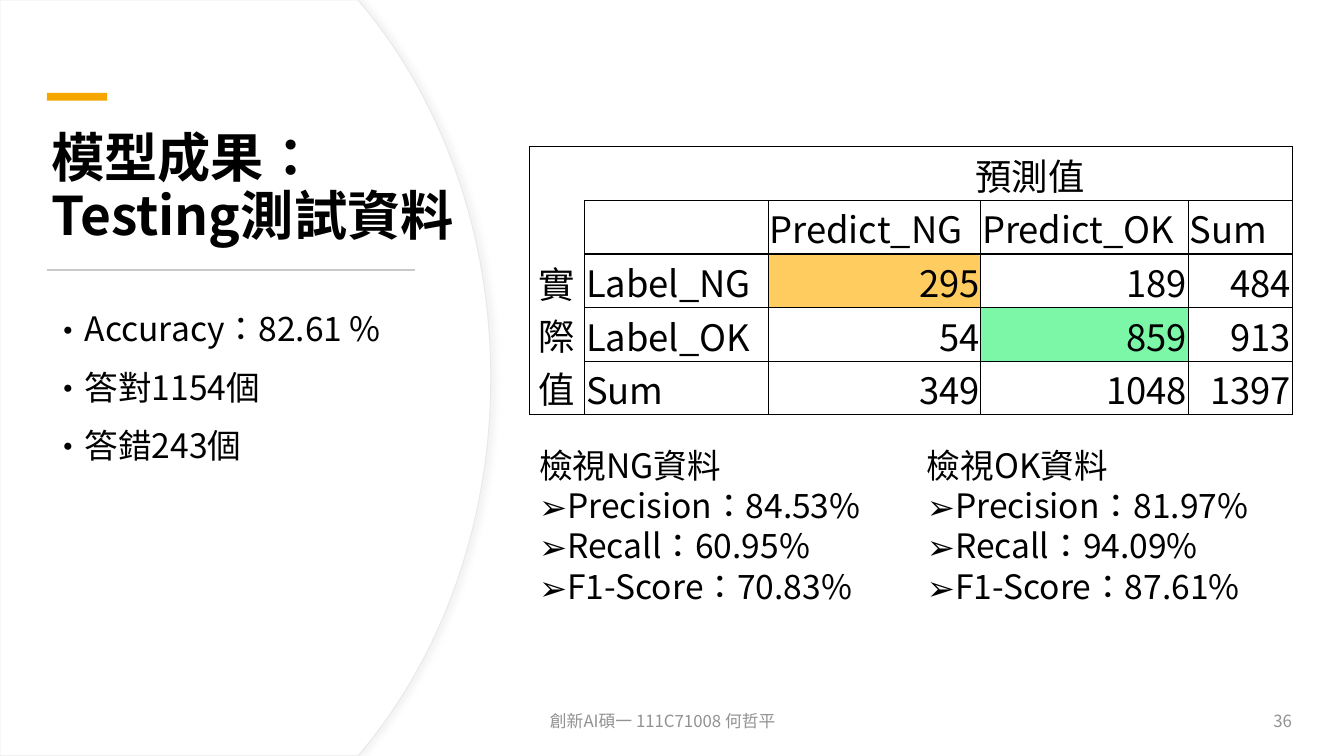
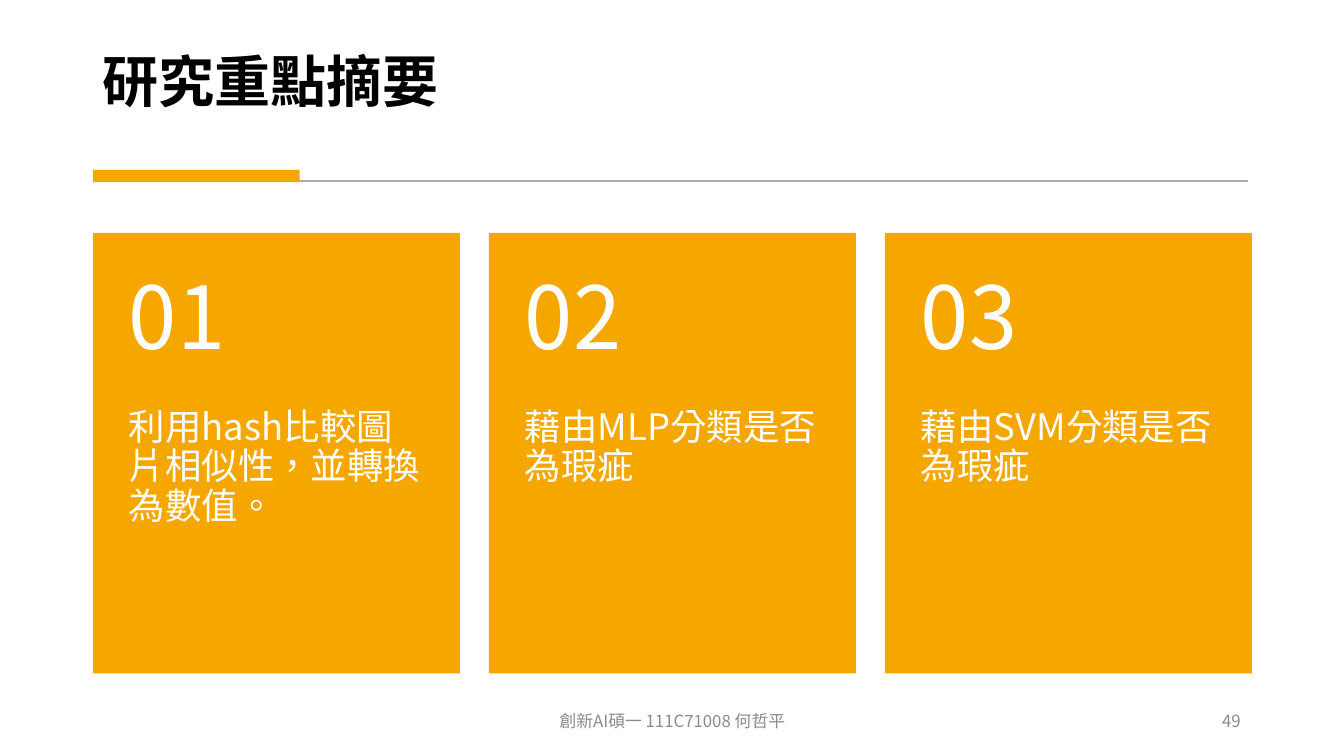
from dataclasses import dataclass

from lxml import etree
from pptx import Presentation
from pptx.dml.color import RGBColor
from pptx.enum import shapes, text
from pptx.oxml import ns
from pptx.util import Cm, Pt

LEFT, CENTER, RIGHT = text.PP_ALIGN.LEFT, text.PP_ALIGN.CENTER, text.PP_ALIGN.RIGHT
TOP, MIDDLE, BOTTOM = text.MSO_ANCHOR.TOP, text.MSO_ANCHOR.MIDDLE, text.MSO_ANCHOR.BOTTOM
SLIDE_W, SLIDE_H = 33.87, 19.05
FOOTER = "創新AI碩一 111C71008 何哲平"


@dataclass(frozen=True)
class Theme:
    font: str = "Noto Sans CJK SC"
    ink: str = "000000"
    paper: str = "FFFFFF"
    accent: str = "F5A700"
    arc_line: str = "E9E9E9"
    shadow: str = "D9D9D9"
    title_rule: str = "C9C9C9"
    summary_rule: str = "AAAAAA"
    results_footer: str = "929292"
    summary_footer: str = "8C8C8C"
    ng_hit: str = "FFCC60"
    ok_hit: str = "7BF7A7"
    results_title: int = 38
    summary_title: int = 40
    body: int = 24
    large: int = 26
    number: int = 62
    footer: int = 12


THEME = Theme()


def rgb(value):
    return RGBColor.from_string(value)


def sub(parent, tag, **attrs):
    return etree.SubElement(parent, ns.qn(tag), attrs)


def style(tf, size, color=THEME.ink, bold=False, align=LEFT, spacing=None):
    for p in tf.paragraphs:
        p.alignment = align
        if spacing:
            p.line_spacing = spacing
        for r in p.runs:
            r.font.size, r.font.bold, r.font.name = Pt(size), bold, THEME.font
            r.font.color.rgb = rgb(color)
            props = r.font._element
            props.set("lang", "zh-TW")
            sub(props, "a:ea", typeface=THEME.font)


def bullet(p, char, indent=0):
    props = p._p.get_or_add_pPr()
    props.set("marL", str(Cm(indent)))
    props.set("indent", str(-Cm(indent)))
    sub(props, "a:buFont", typeface=THEME.font)
    sub(props, "a:buChar", char=char)


def add_text(slide, box, content, size, anchor=TOP, insets=(0.25, 0.13, 0.25, 0.13), **look):
    tf = slide.shapes.add_textbox(*map(Cm, box)).text_frame
    tf.word_wrap, tf.vertical_anchor = True, anchor
    tf.margin_left, tf.margin_top, tf.margin_right, tf.margin_bottom = map(Cm, insets)
    tf.text = content
    style(tf, size, **look)
    return tf


def set_title(slide, box, content, size, anchor):
    title = slide.shapes.title
    title.left, title.top, title.width, title.height = map(Cm, box)
    tf = title.text_frame
    tf.text = content
    tf.word_wrap, tf.vertical_anchor = True, anchor
    tf.auto_size = text.MSO_AUTO_SIZE.NONE
    style(tf, size, bold=True, spacing=0.9)


def add_block(slide, box):
    sp = slide.shapes.add_shape(shapes.MSO_SHAPE.RECTANGLE, *map(Cm, box))
    sp.shadow.inherit = False
    sp.fill.solid()
    sp.fill.fore_color.rgb = rgb(THEME.accent)
    sp.line.fill.background()


def add_rule(slide, x1, x2, y, color):
    line = slide.shapes.add_connector(shapes.MSO_CONNECTOR.STRAIGHT, Cm(x1), Cm(y), Cm(x2), Cm(y))
    line.line.color.rgb = rgb(color)
    line.line.width = Pt(1.5)
    sub(line._element.spPr, "a:effectLst")


def add_footer(slide, left, page_box, page, align, color):
    look = dict(anchor=MIDDLE, color=color)
    add_text(slide, (left, 17.65, 11.43, 1.02), FOOTER, THEME.footer, align=align, **look)
    page_left, page_width = page_box
    add_text(slide, (page_left, 17.65, page_width, 1.02), page, THEME.footer, align=RIGHT, **look)


def bezier(points, steps=40):
    a, b, c, d = points
    for i in range(steps + 1):
        t = i / steps
        s = 1 - t
        yield tuple(s**3 * p + 3 * s * s * t * q + 3 * s * t * t * r + t**3 * e
                    for p, q, r, e in zip(a, b, c, d))


def add_arc_panel(slide):
    """White panel with a curved right edge, placed behind the title."""
    upper = [(9.02, 0), *bezier([(9.19, 0.2), (11.15, 2.59), (12.37, 5.89), (12.37, SLIDE_H / 2)])]
    lower = [(x, SLIDE_H - y) for x, y in reversed(upper[:-1])]
    outline = [(Cm(x), Cm(y)) for x, y in (*upper, *lower, (0, SLIDE_H))]
    builder = slide.shapes.build_freeform(0, 0)
    builder.add_line_segments(outline, close=True)
    sp = builder.convert_to_shape()
    sp.fill.solid()
    sp.fill.fore_color.rgb = rgb(THEME.paper)
    sp.line.color.rgb = rgb(THEME.arc_line)
    sp.line.width = Pt(0.75)
    effects = sub(sp.element.spPr, "a:effectLst")
    shadow = sub(effects, "a:outerShdw", blurRad=str(Pt(4)), dist=str(Pt(3)), dir="0")
    sub(sub(shadow, "a:srgbClr", val=THEME.shadow), "a:alpha", val="30000")
    slide.shapes.title.element.addprevious(sp.element)


def cell_edges(row, col):
    if row == 0:
        return ("LT", "TB", "TRB")[min(col, 2)]
    if col == 0:
        return "LR" if row == 1 else "LRB"
    return "LRTB"


def set_borders(cell, edges):
    props = cell._tc.get_or_add_tcPr()
    for edge in "LRTB":
        line = sub(props, f"a:ln{edge}", w=str(Pt(1)))
        if edge in edges:
            sub(sub(line, "a:solidFill"), "a:srgbClr", val=THEME.ink)
        else:
            sub(line, "a:noFill")


def add_confusion_matrix(slide, rows, fills):
    widths, row_height = (1.4, 4.62, 5.36, 5.23, 2.62), 1.35
    frame = slide.shapes.add_table(len(rows), len(widths), Cm(13.34), Cm(3.7),
                                   Cm(sum(widths)), Cm(row_height * len(rows)))
    table = frame.table
    table.first_row = table.horz_banding = False
    for column, width in zip(table.columns, widths):
        column.width = Cm(width)
    for i, values in enumerate(rows):
        table.rows[i].height = Cm(row_height)
        for j, value in enumerate(values):
            cell = table.cell(i, j)
            set_borders(cell, cell_edges(i, j))
            if (i, j) in fills:
                cell.fill.solid()
                cell.fill.fore_color.rgb = rgb(fills[i, j])
            else:
                cell.fill.background()
            cell.margin_left = cell.margin_top = cell.margin_right = Cm(0.03)
            cell.margin_bottom = 0
            cell.vertical_anchor = MIDDLE
            cell.text_frame.text = value
            centred = i == 0 or j == 0
            align = CENTER if centred else RIGHT if value.isdigit() else LEFT
            style(cell.text_frame, THEME.large, align=align)
    table.cell(0, 2).merge(table.cell(0, 4))
    table.cell(2, 0).merge(table.cell(4, 0))


def add_metrics(slide, left, heading, scores):
    names = ("Precision", "Recall", "F1-Score")
    lines = [heading, *(f"{name}：{score}%" for name, score in zip(names, scores))]
    tf = add_text(slide, (left, 11.07, 9.58, 5.38), "\n".join(lines), THEME.body)
    for p in tf.paragraphs[1:]:
        bullet(p, "➢")


def add_card(slide, left, number, content):
    top, width, head, body = 5.87, 9.25, 4.44, 6.66
    add_block(slide, (left, top, width, head + body))
    look = dict(color=THEME.paper, spacing=0.9)
    add_text(slide, (left, top + head, width, body), content, THEME.large,
             insets=(0.91, 0, 0.91, 0.91), **look)
    add_text(slide, (left, top, width, head), number, THEME.number, anchor=MIDDLE,
             insets=(0.91, 0.46, 0.91, 0.46), **look)


def build_results(slide):
    add_arc_panel(slide)
    set_title(slide, (1.04, 3.23, 12.88, 3.12), "模型成果：\vTesting測試資料",
              THEME.results_title, BOTTOM)
    add_block(slide, (1.18, 2.34, 1.52, 0.2))
    add_rule(slide, 1.19, 10.46, 6.81, THEME.title_rule)
    facts = add_text(slide, (1.04, 7.54, 9.55, 8.92),
                     "Accuracy：82.61 %\n答對1154個\n答錯243個", THEME.body, spacing=1.1)
    for p in facts.paragraphs:
        p.space_before = Pt(10)
        bullet(p, "•", 0.64)
    add_footer(slide, 13.61, (26.92, 5.89), "36", LEFT, THEME.results_footer)
    add_confusion_matrix(slide, [
        ("", "", "預測值", "", ""),
        ("", "", "Predict_NG", "Predict_OK", "Sum"),
        ("實\v際\v值", "Label_NG", "295", "189", "484"),
        ("", "Label_OK", "54", "859", "913"),
        ("", "Sum", "349", "1048", "1397"),
    ], {(2, 2): THEME.ng_hit, (3, 3): THEME.ok_hit})
    add_metrics(slide, 13.34, "檢視NG資料", ("84.53", "60.95", "70.83"))
    add_metrics(slide, 23.11, "檢視OK資料", ("81.97", "94.09", "87.61"))


def build_summary(slide):
    set_title(slide, (2.34, 0.71, 29.18, 2.82), "研究重點摘要", THEME.summary_title, MIDDLE)
    add_rule(slide, 2.41, 31.45, 4.56, THEME.summary_rule)
    add_block(slide, (2.34, 4.28, 5.21, 0.31))
    add_footer(slide, 11.23, (24.64, 6.88), "49", CENTER, THEME.summary_footer)
    points = ("利用hash比較圖片相似性，並轉換為數值。", "藉由MLP分類是否為瑕疵", "藉由SVM分類是否為瑕疵")
    for i, point in enumerate(points):
        add_card(slide, 2.34 + 9.98 * i, f"{i + 1:02}", point)


def main():
    prs = Presentation()
    prs.slide_width, prs.slide_height = Cm(SLIDE_W), Cm(SLIDE_H)
    title_only = prs.slide_layouts[5]
    for build in (build_results, build_summary):
        build(prs.slides.add_slide(title_only))
    prs.save("out.pptx")


if __name__ == "__main__":
    main()
